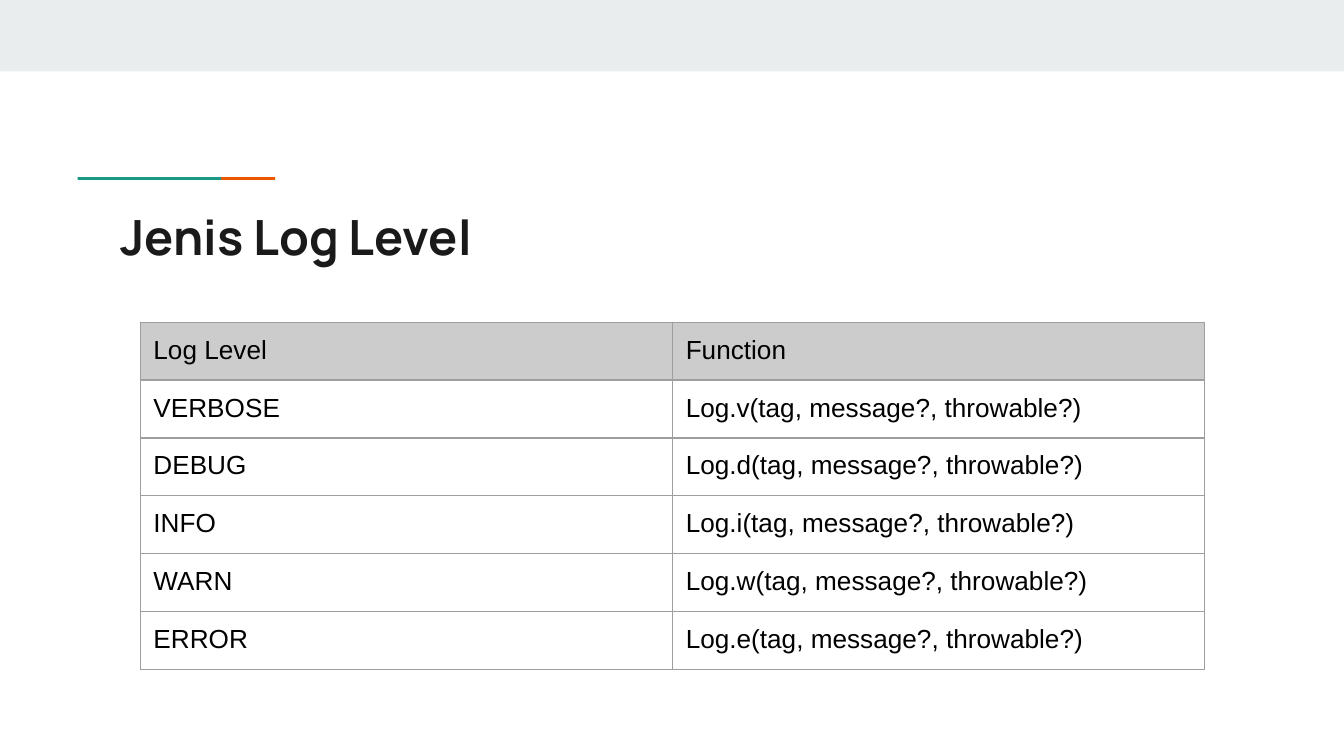
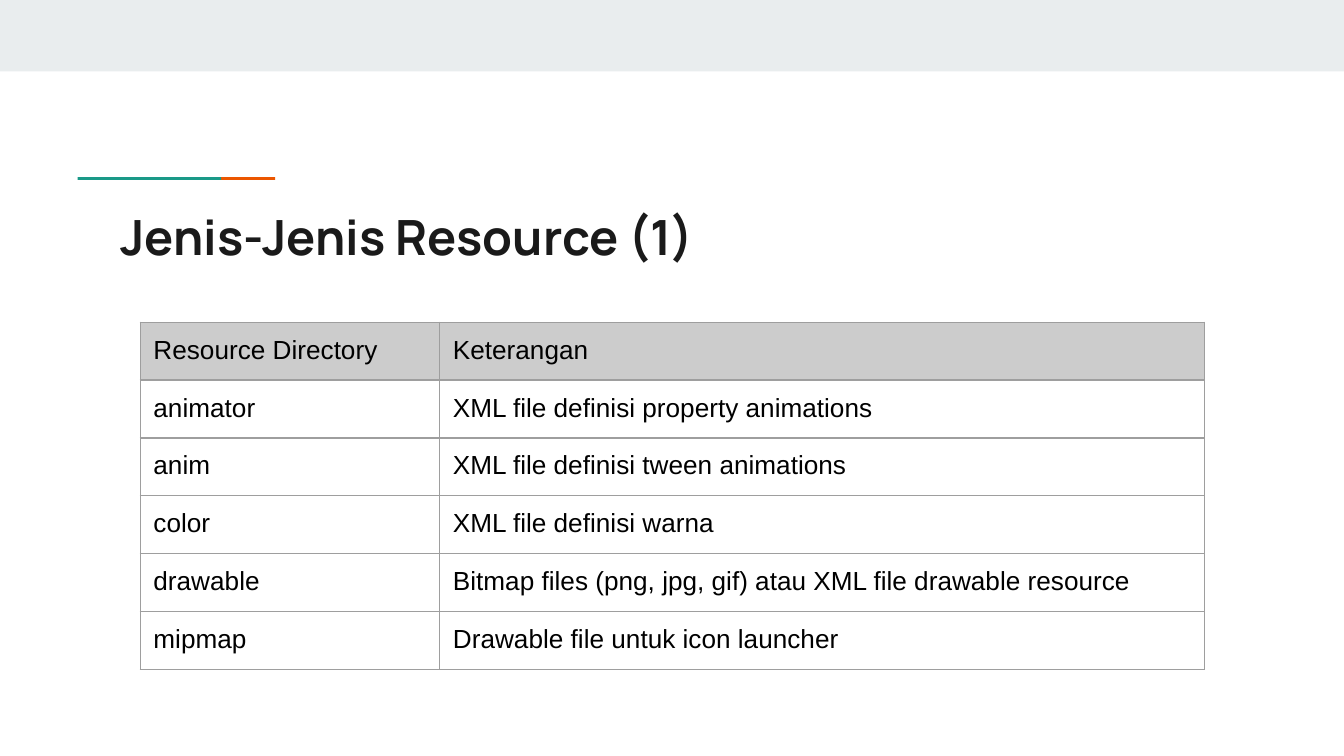
from dataclasses import dataclass

from lxml.etree import SubElement as Sub
from pptx import Presentation
from pptx.dml.color import RGBColor as RGB
from pptx.enum.shapes import MSO_SHAPE as Kind
from pptx.enum.text import MSO_ANCHOR as Anchor
from pptx.oxml.ns import qn
from pptx.util import Cm, Pt


@dataclass(frozen=True)
class Theme:
    band: str = "E9EDEE"
    teal: str = "1A9988"
    orange: str = "EB5600"
    title: str = "1A1A1A"
    text: str = "000000"
    head: str = "CCCCCC"
    rule: str = "9E9E9E"
    title_font: str = "Manrope"
    body_font: str = "Arial"
    title_size: int = 26
    body_size: int = 14
    rule_size: float = 0.75


THEME = Theme()
WIDTH, HEIGHT = Cm(25.4), Cm(14.29)
INSET = Cm(0.25)

LEVELS = [("Log Level", "Function")] + [
    (name, f"Log.{name[0].lower()}(tag, message?, throwable?)")
    for name in ("VERBOSE", "DEBUG", "INFO", "WARN", "ERROR")
]
RESOURCES = [
    ("Resource Directory", "Keterangan"),
    ("animator", "XML file definisi property animations"),
    ("anim", "XML file definisi tween animations"),
    ("color", "XML file definisi warna"),
    ("drawable", "Bitmap files (png, jpg, gif) atau XML file drawable resource"),
    ("mipmap", "Drawable file untuk icon launcher"),
]


def write(frame, text, font=THEME.body_font, size=THEME.body_size,
          color=THEME.text, bold=False):
    frame.word_wrap = True
    para = frame.paragraphs[0]
    para.text = text
    style = para.runs[0].font
    style.name, style.size, style.bold = font, Pt(size), bold
    style.color.rgb = RGB.from_string(color)


def add_bar(slide, left, top, width, height, color):
    bar = slide.shapes.add_shape(Kind.RECTANGLE, left, top, width, height)
    bar.shadow.inherit = False
    bar.fill.solid()
    bar.fill.fore_color.rgb = RGB.from_string(color)
    bar.line.fill.background()


def add_title(slide, text):
    box = slide.shapes.add_textbox(Cm(2.03), Cm(3.66), Cm(21.36), Cm(1.5))
    frame = box.text_frame
    frame.margin_left = frame.margin_right = INSET
    frame.margin_top = frame.margin_bottom = INSET
    frame.vertical_anchor = Anchor.TOP
    write(frame, text, font=THEME.title_font, size=THEME.title_size,
          color=THEME.title, bold=True)


def add_slide(deck, title):
    """Add a blank slide with the top band, accent line and title."""
    slide = deck.slides.add_slide(deck.slide_layouts[6])
    add_bar(slide, 0, 0, WIDTH, Cm(1.35), THEME.band)
    for left, color in ((2.49, THEME.orange), (1.47, THEME.teal)):
        add_bar(slide, Cm(left), Cm(3.35), Cm(2.71), Cm(0.05), color)
    add_title(slide, title)
    return slide


def add_rules(cell):
    """Draw all four borders of a cell; call before setting its fill."""
    props = cell._tc.get_or_add_tcPr()
    for side in ("lnL", "lnR", "lnT", "lnB"):
        line = Sub(props, qn(f"a:{side}"), w=str(Pt(THEME.rule_size)))
        fill = Sub(line, qn("a:solidFill"))
        Sub(fill, qn("a:srgbClr"), val=THEME.rule)


def add_grid(slide, rows, widths):
    high = Cm(1.06)
    grid = slide.shapes.add_table(
        len(rows), len(widths), Cm(2.65), Cm(6.09),
        Cm(sum(widths)), high * len(rows)).table
    grid.first_row = grid.horz_banding = False
    for col, width in zip(grid.columns, widths):
        col.width = Cm(width)
    for r, row in enumerate(rows):
        grid.rows[r].height = high
        for c, text in enumerate(row):
            cell = grid.cell(r, c)
            cell.margin_left = cell.margin_right = INSET
            cell.margin_top = cell.margin_bottom = INSET
            write(cell.text_frame, text)
            add_rules(cell)
            if r == 0:
                cell.fill.solid()
                cell.fill.fore_color.rgb = RGB.from_string(THEME.head)
            else:
                cell.fill.background()


def main():
    deck = Presentation()
    deck.slide_width, deck.slide_height = WIDTH, HEIGHT
    add_grid(add_slide(deck, "Jenis Log Level"), LEVELS, (10.06, 10.06))
    add_grid(add_slide(deck, "Jenis-Jenis Resource (1)"), RESOURCES,
             (5.66, 14.46))
    deck.save("out.pptx")


if __name__ == "__main__":
    main()
